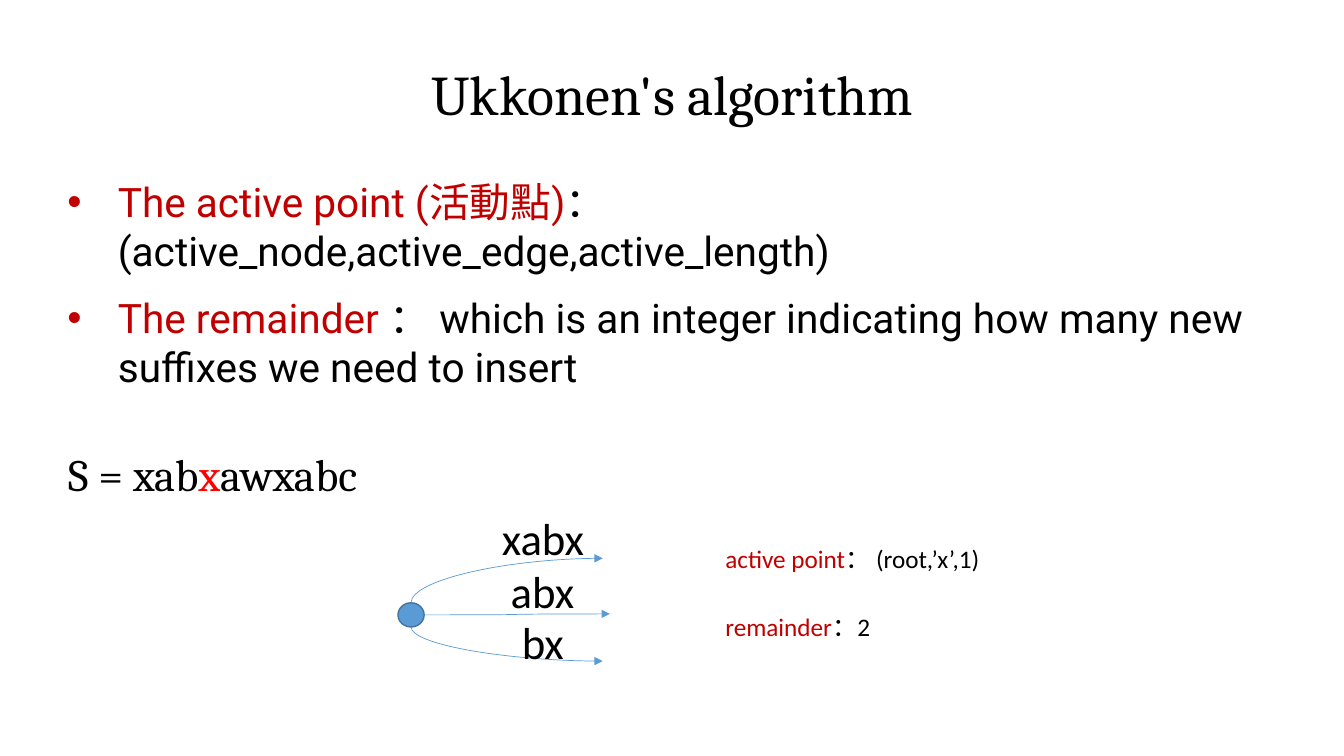
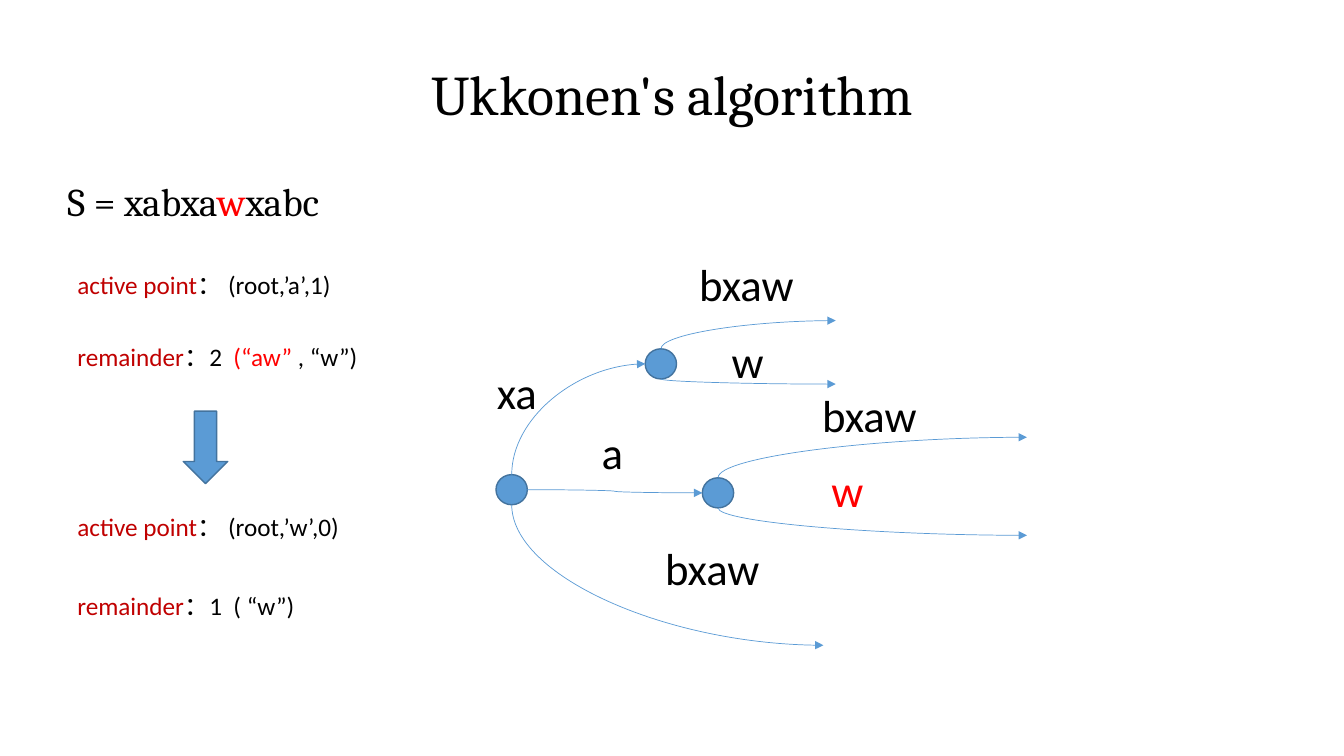
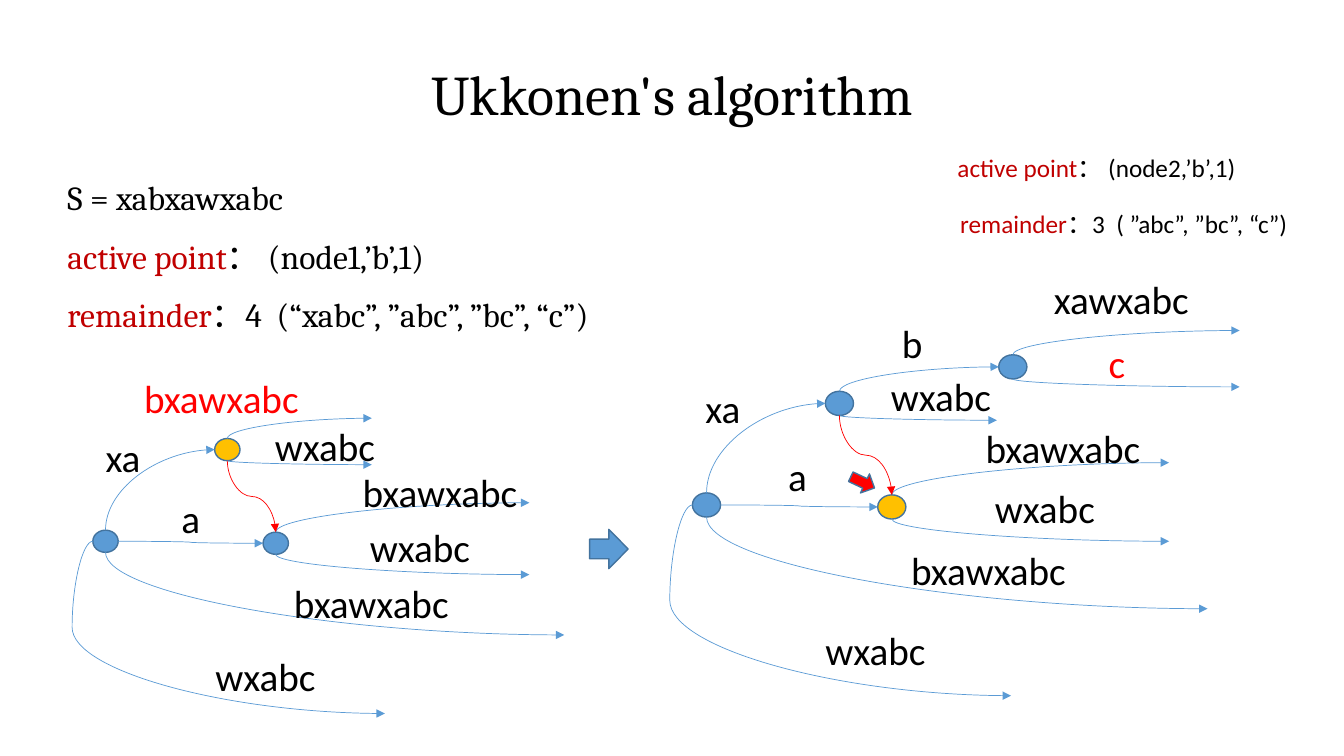
from lxml import etree
from pptx import Presentation
from pptx.dml.color import RGBColor
from pptx.enum.shapes import MSO_CONNECTOR, MSO_SHAPE
from pptx.enum.text import MSO_ANCHOR, MSO_AUTO_SIZE, PP_ALIGN
from pptx.oxml.ns import qn
from pptx.util import Cm, Pt

BLACK = RGBColor(0x00, 0x00, 0x00)
RED = RGBColor(0xFF, 0x00, 0x00)
WINE = RGBColor(0xC0, 0x00, 0x00)
BLUE = RGBColor(0x5B, 0x9B, 0xD5)
NAVY = RGBColor(0x43, 0x73, 0x9E)
GOLD = RGBColor(0xFF, 0xC0, 0x00)

OVAL = MSO_SHAPE.OVAL
DOWN = MSO_SHAPE.DOWN_ARROW
NEXT = MSO_SHAPE.RIGHT_ARROW
CURVE = MSO_CONNECTOR.CURVE
LEFT = PP_ALIGN.LEFT
MID = PP_ALIGN.CENTER
UPPER = MSO_ANCHOR.TOP
CENTRE = MSO_ANCHOR.MIDDLE
FIXED = MSO_AUTO_SIZE.NONE

N, W, S, E = 0, 2, 4, 6
SITES = {N: (0.5, 0), W: (0, 0.5), S: (0.5, 1), E: (1, 0.5)}


def write(page, paras, x, y, w, h, box=None, size=18, font="Calibri",
          align=LEFT, anchor=UPPER, pad=True, gap=0, mark=None):
    if box is None:
        box = page.shapes.add_textbox(Cm(x), Cm(y), Cm(w), Cm(h))
    box.left, box.top, box.width, box.height = Cm(x), Cm(y), Cm(w), Cm(h)
    frame = box.text_frame
    frame.word_wrap = True
    frame.auto_size = FIXED
    frame.vertical_anchor = anchor
    if not pad:
        frame.margin_left = frame.margin_right = 0
        frame.margin_top = frame.margin_bottom = 0
    for i, runs in enumerate(paras):
        para = frame.add_paragraph() if i else frame.paragraphs[0]
        para.alignment = align
        if i:
            para.space_before = Pt(gap)
        if mark:
            props = para._p.get_or_add_pPr()
            props.set("marL", str(Cm(1.27)))
            props.set("indent", str(-Cm(1.27)))
            etree.SubElement(props, qn("a:buFont"), typeface="Arial")
            etree.SubElement(props, qn("a:buChar"), char=mark)
        for text, hue in runs:
            run = para.add_run()
            run.text = text
            run.font.size = Pt(size)
            run.font.name = font
            run.font.color.rgb = hue


def link(page, nodes, name, site, goal):
    first = nodes[name]
    fx, fy = SITES[site]
    x1 = first.left + int(first.width * fx)
    y1 = first.top + int(first.height * fy)
    joins = [("a:stCxn", first, site)]
    jump = goal in nodes and site == S
    if goal in nodes:
        last = nodes[goal]
        dock = N if jump else W
        fx, fy = SITES[dock]
        x2 = last.left + int(last.width * fx)
        y2 = last.top + int(last.height * fy)
        joins.append(("a:endCxn", last, dock))
    else:
        x2, y2 = Cm(goal[0]), Cm(goal[1])
    edge = page.shapes.add_connector(CURVE, x1, y1, x2, y2)
    props = edge._element.spPr
    geom = props.find(qn("a:prstGeom"))
    if site in (N, S):
        wide, high = abs(y2 - y1), abs(x2 - x1)
        edge.left, edge.top = (x1 + x2 - wide) // 2, (y1 + y2 - high) // 2
        edge.width, edge.height = wide, high
        form = props.find(qn("a:xfrm"))
        form.set("rot", "5400000" if site == N else "16200000")
        form.set("flipH", "1")
        form.set("flipV", "1" if site == N else "0")
        if not jump:
            geom.set("prst", "curvedConnector2")
    if site == W:
        guides = geom.find(qn("a:avLst"))
        if guides is None:
            guides = etree.SubElement(geom, qn("a:avLst"))
        etree.SubElement(guides, qn("a:gd"), name="adj1", fmla="val -7100")
    hold = edge._element.find(qn("p:nvCxnSpPr")).find(qn("p:cNvCxnSpPr"))
    for tag, node, dock in joins:
        etree.SubElement(hold, qn(tag), id=str(node.shape_id), idx=str(dock))
    edge.line.color.rgb = RED if jump else BLUE
    edge.line.width = Pt(0.5)
    etree.SubElement(props.find(qn("a:ln")), qn("a:tailEnd"), type="triangle")
    etree.SubElement(props, qn("a:effectLst"))


deck = Presentation()
deck.slide_width, deck.slide_height = Cm(33.87), Cm(19.05)

BODIES = [
    ([[("The active point (活動點)", WINE),
       ("：(active_node,active_edge,active_length)", BLACK)],
      [("The remainder", WINE),
       (" ： which is an integer indicating how many new suffixes we need to insert",
        BLACK)]],
     {"size": 29, "font": "Roboto", "mark": "•"}),
    ([[("S = xabxa", BLACK), ("w", RED), ("xabc", BLACK)]],
     {"size": 28, "font": "Cambria"}),
    ([[("S = xabxawxabc", BLACK)],
      [("active point", WINE), ("： (node1,’b’,1)", BLACK)],
      [("remainder", WINE), ("：4  (“xabc”, ”abc”, ”bc”, “c”)", BLACK)]],
     {"size": 24, "font": "Cambria"}),
]

pages = []
for paras, style in BODIES:
    page = deck.slides.add_slide(deck.slide_layouts[5])
    write(page, [[("Ukkonen's algorithm", BLACK)]], 1.7, 0.76, 30.48, 3.18,
          box=page.shapes.title, size=40, font="Cambria", align=MID,
          anchor=CENTRE, pad=False)
    write(page, paras, 1.7, 4.47, 30.48, 11.05, pad=False, gap=12.8, **style)
    pages.append(page)
one, two, three = pages

write(one, [[("S = xab", BLACK), ("x", RED), ("awxabc", BLACK)]],
      1.47, 11.13, 8.56, 1.63, size=32, font="Cambria")

TREES = [
    (one, 0.66, 0.61, 32,
     {"root": (10.03, 15.19, BLUE)},
     [("root", N, (15.19, 14.07)), ("root", S, (15.19, 16.66)),
      ("root", E, (15.37, 15.47))],
     [("xabx", 12.4, 12.75, 2.7, BLACK), ("bx", 12.9, 15.37, 1.65, BLACK),
      ("abx", 12.62, 14.07, 2.2, BLACK)]),
    (two, 0.79, 0.76, 32,
     {"root": (12.5, 11.96, BLUE), "xa": (16.26, 8.79, BLUE),
      "a": (17.7, 12.04, BLUE)},
     [("root", N, "xa"), ("xa", N, (21.06, 8.08)), ("xa", S, (21.06, 9.68)),
      ("root", S, (20.75, 16.26)), ("root", E, "a"),
      ("a", N, (25.88, 11.02)), ("a", S, (25.88, 13.49))],
     [("bxaw", 17.37, 6.35, 3, BLACK), ("xa", 12.27, 9.07, 1.6, BLACK),
      ("w", 18.19, 8.28, 1.4, BLACK), ("w", 20.7, 11.53, 3.48, RED),
      ("bxaw", 16.51, 13.49, 3, BLACK), ("a", 14.91, 10.57, 1.2, BLACK),
      ("bxaw", 20.47, 9.65, 3.05, BLACK)]),
    (three, 0.71, 0.61, 28,
     {"root": (17.45, 12.42, BLUE), "xa": (20.8, 9.86, BLUE),
      "a": (22.12, 12.47, GOLD), "b": (25.17, 8.94, BLUE)},
     [("root", N, "xa"), ("xa", N, "b"), ("xa", S, (25.12, 10.59)),
      ("root", S, (30.43, 15.34)), ("root", E, "a"),
      ("a", N, (29.46, 11.66)), ("a", S, (29.46, 13.64)), ("xa", S, "a"),
      ("root", W, (25.48, 17.53)), ("b", N, (31.24, 8.33)),
      ("b", S, (31.24, 9.75))],
     [("xa", 17.53, 9.55, 1.7, BLACK), ("wxabc", 22.2, 9.25, 3.71, BLACK),
      ("wxabc", 24.82, 12.07, 4.06, BLACK),
      ("bxawxabc", 22.71, 13.64, 5.49, BLACK),
      ("a", 19.61, 11.28, 1.1, BLACK),
      ("bxawxabc", 24.59, 10.57, 4.6, BLACK),
      ("b", 22.48, 7.92, 1.32, BLACK), ("wxabc", 20.55, 15.67, 4.04, BLACK),
      ("xawxabc", 26.31, 6.81, 4.2, BLACK), ("c", 27.69, 8.43, 1.12, RED)]),
    (three, 0.64, 0.56, 28,
     {"root": (2.34, 13.36, BLUE), "xa": (5.41, 11.05, GOLD),
      "a": (6.63, 13.41, BLUE)},
     [("root", N, "xa"), ("xa", N, (9.37, 10.54)), ("xa", S, (9.37, 11.71)),
      ("root", S, (14.22, 16)), ("root", E, "a"),
      ("a", N, (13.34, 12.67)), ("a", S, (13.34, 14.48)), ("xa", S, "a"),
      ("root", W, (9.7, 17.98))],
     [("xa", 2.41, 10.8, 1.6, BLACK), ("wxabc", 6.68, 10.52, 3.4, BLACK),
      ("wxabc", 9.07, 13.06, 3.71, BLACK),
      ("bxawxabc", 7.16, 14.48, 5.03, BLACK),
      ("a", 4.32, 12.34, 1.1, BLACK),
      ("bxawxabc", 8.89, 11.68, 4.6, BLACK),
      ("bxawxabc", 3.38, 9.3, 5, RED), ("wxabc", 5.18, 16.31, 3.68, BLACK)]),
]

ARROWS = [
    (two, DOWN, 4.62, 10.36, 1.12, 1.83, 0, BLUE),
    (three, NEXT, 14.86, 13.34, 0.97, 0.99, 0, BLUE),
    (three, NEXT, 21.41, 11.89, 0.66, 0.53, 25.2, RED),
]

marks = []
for page, w, h, size, spots, edges, words in TREES:
    nodes = {}
    for name, (x, y, hue) in spots.items():
        nodes[name] = page.shapes.add_shape(OVAL, Cm(x), Cm(y), Cm(w), Cm(h))
        marks.append((nodes[name], hue))
    for name, site, goal in edges:
        link(page, nodes, name, site, goal)
    for text, x, y, wide, hue in words:
        write(page, [[(text, hue)]], x, y, wide, size * 0.05, size=size)

for page, kind, x, y, w, h, turn, hue in ARROWS:
    arrow = page.shapes.add_shape(kind, Cm(x), Cm(y), Cm(w), Cm(h))
    arrow.rotation = turn
    marks.append((arrow, hue))

for shape, hue in marks:
    shape.shadow.inherit = False
    shape.fill.solid()
    shape.fill.fore_color.rgb = hue
    shape.line.color.rgb = NAVY
    shape.line.width = Pt(1)

NOTES = [
    (one, 18.03, 13.56, 6.98, "active point", [("： (root,’x’,1)", BLACK)]),
    (one, 18.03, 15.29, 4.19, "remainder", [("：2", BLACK)]),
    (two, 1.7, 6.65, 6.98, "active point", [("： (root,’a’,1)", BLACK)]),
    (two, 1.7, 8.48, 7.65, "remainder",
     [("：2  ", BLACK), ("(“aw” ", RED), (", “w”)", BLACK)]),
    (two, 1.7, 12.75, 7.19, "active point", [("： (root,’w’,0)", BLACK)]),
    (two, 1.7, 14.76, 6.05, "remainder", [("：1  ( “w”)", BLACK)]),
    (three, 23.88, 3.71, 7.62, "active point", [("： (node2,’b’,1)", BLACK)]),
    (three, 23.95, 5.13, 8.84, "remainder",
     [("：3  ( ”abc”, ”bc”, “c”)", BLACK)]),
]
for page, x, y, w, term, rest in NOTES:
    write(page, [[(term, WINE)] + rest], x, y, w, 1.02)

deck.save("out.pptx")
